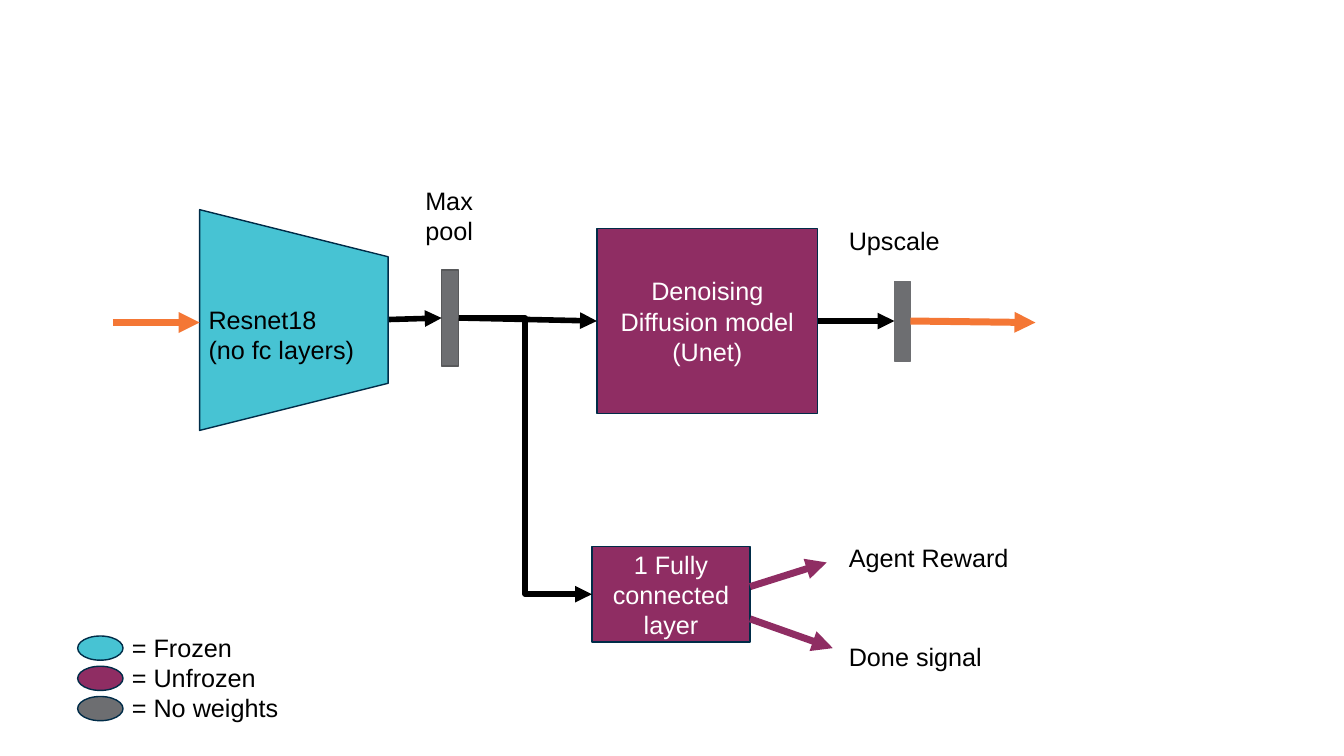
from dataclasses import dataclass
from typing import Optional

from lxml import etree
from pptx import Presentation
from pptx import util as u
from pptx.dml.color import RGBColor
from pptx.enum import shapes, text
from pptx.oxml.ns import qn

FROZEN, UNFROZEN, NO_WEIGHTS = "47C3D3", "8F2D63", "6D6E71"
NAVY, GREY_EDGE, ORANGE = "002C48", "58595B", "F47735"
BLACK, WHITE = "000000", "FFFFFF"
RECT = shapes.MSO_SHAPE.RECTANGLE
PROCESS = shapes.MSO_SHAPE.FLOWCHART_PROCESS
LEFT_SIDE, RIGHT_SIDE = 1, 3


@dataclass
class Block:
    left: float
    top: float
    width: float
    height: float
    fill: str
    edge: str = NAVY
    preset: shapes.MSO_SHAPE = PROCESS
    words: str = ""
    rotation: float = 0


@dataclass
class Label:
    left: float
    top: float
    width: float
    height: float
    words: str


@dataclass
class Arrow:
    start: tuple[float, float]
    end: tuple[float, float]
    source: Optional[str] = None
    target: Optional[str] = None
    color: str = BLACK
    weight: float = 4
    bent: bool = False


def rgb(color: str) -> RGBColor:
    return RGBColor.from_string(color)


def write(frame, words: str, color: str, align: text.PP_ALIGN) -> None:
    frame.word_wrap = True
    frame.text = words
    for paragraph in frame.paragraphs:
        paragraph.alignment = align
        for run in paragraph.runs:
            run.font.name = "Arial"
            run.font.size = u.Pt(18)
            run.font.color.rgb = rgb(color)


def draw_block(slide, block: Block):
    shape = slide.shapes.add_shape(
        block.preset, u.Inches(block.left), u.Inches(block.top),
        u.Inches(block.width), u.Inches(block.height))
    shape.shadow.inherit = False
    shape.rotation = block.rotation
    shape.fill.solid()
    shape.fill.fore_color.rgb = rgb(block.fill)
    shape.line.color.rgb = rgb(block.edge)
    shape.line.width = u.Pt(1)
    if block.words:
        write(shape.text_frame, block.words, WHITE, text.PP_ALIGN.CENTER)
        shape.text_frame.vertical_anchor = text.MSO_ANCHOR.MIDDLE
    return shape


def draw_label(slide, label: Label) -> None:
    box = slide.shapes.add_textbox(
        u.Inches(label.left), u.Inches(label.top),
        u.Inches(label.width), u.Inches(label.height))
    write(box.text_frame, label.words, BLACK, text.PP_ALIGN.LEFT)


def draw_arrow(slide, arrow: Arrow, drawn: dict) -> None:
    kind = shapes.MSO_CONNECTOR.ELBOW if arrow.bent else shapes.MSO_CONNECTOR.STRAIGHT
    connector = slide.shapes.add_connector(
        kind, *(u.Inches(value) for value in arrow.start + arrow.end))
    if arrow.source:
        connector.begin_connect(drawn[arrow.source], RIGHT_SIDE)
    if arrow.target:
        connector.end_connect(drawn[arrow.target], LEFT_SIDE)
    connector.line.color.rgb = rgb(arrow.color)
    connector.line.width = u.Pt(arrow.weight)
    etree.SubElement(connector.line._get_or_add_ln(), qn("a:tailEnd"), type="triangle")
    etree.SubElement(connector._element.spPr, qn("a:effectLst"))


# Network parts
BLOCKS = {
    "resnet": Block(1.82, 2.24, 2.19, 1.87, FROZEN,
                    preset=shapes.MSO_SHAPE.TRAPEZOID, rotation=90),
    "pool": Block(4.38, 2.68, 0.17, 0.95, NO_WEIGHTS, GREY_EDGE, RECT),
    "unet": Block(5.92, 2.27, 2.19, 1.83, UNFROZEN,
                  words="Denoising\nDiffusion model\n(Unet)"),
    "upscale": Block(8.87, 2.79, 0.16, 0.79, NO_WEIGHTS, NO_WEIGHTS),
    "connected": Block(5.87, 5.42, 1.57, 0.95, UNFROZEN,
                       words="1 Fully connected layer"),
}

# Data flow
ARROWS = [
    Arrow((1.12, 3.2), (1.98, 3.2), color=ORANGE, weight=5),
    Arrow((3.86, 3.17), (4.38, 3.16), target="pool"),
    Arrow((4.55, 3.16), (5.92, 3.18), "pool", "unet"),
    Arrow((4.55, 3.16), (5.87, 5.9), "pool", "connected", bent=True),
    Arrow((8.11, 3.18), (8.87, 3.18), "unet", "upscale"),
    Arrow((9.03, 3.18), (10.27, 3.2), "upscale", color=ORANGE, weight=5),
    Arrow((7.44, 5.82), (8.2, 5.58), color=UNFROZEN, weight=5),
    Arrow((7.44, 6.14), (8.26, 6.43), color=UNFROZEN, weight=5),
]

LABELS = [
    Label(1.97, 2.97, 1.87, 0.71, "Resnet18\n(no fc layers)"),
    Label(4.12, 1.79, 0.83, 0.71, "Max pool"),
    Label(8.32, 2.19, 1.43, 0.4, "Upscale"),
    Label(8.32, 5.33, 1.95, 0.4, "Agent Reward"),
    Label(8.32, 6.31, 1.72, 0.4, "Done signal"),
]

# Legend
LEGEND = {"= Frozen": FROZEN, "= Unfrozen": UNFROZEN, "= No weights": NO_WEIGHTS}
LEGEND_TOP, LEGEND_PITCH = 6.31, 0.3


def main() -> None:
    deck = Presentation()
    deck.slide_width, deck.slide_height = u.Inches(13.33), u.Inches(7.5)
    slide = deck.slides.add_slide(deck.slide_layouts[6])

    drawn = {part: draw_block(slide, block) for part, block in BLOCKS.items()}
    for arrow in ARROWS:
        draw_arrow(slide, arrow, drawn)
    for label in LABELS:
        draw_label(slide, label)

    for row, color in enumerate(LEGEND.values()):
        draw_block(slide, Block(0.77, LEGEND_TOP + row * LEGEND_PITCH, 0.45, 0.24,
                                color, preset=shapes.MSO_SHAPE.OVAL))
    draw_label(slide, Label(1.21, 6.22, 2.83, 1.01, "\n".join(LEGEND)))

    deck.save("out.pptx")


if __name__ == "__main__":
    main()
